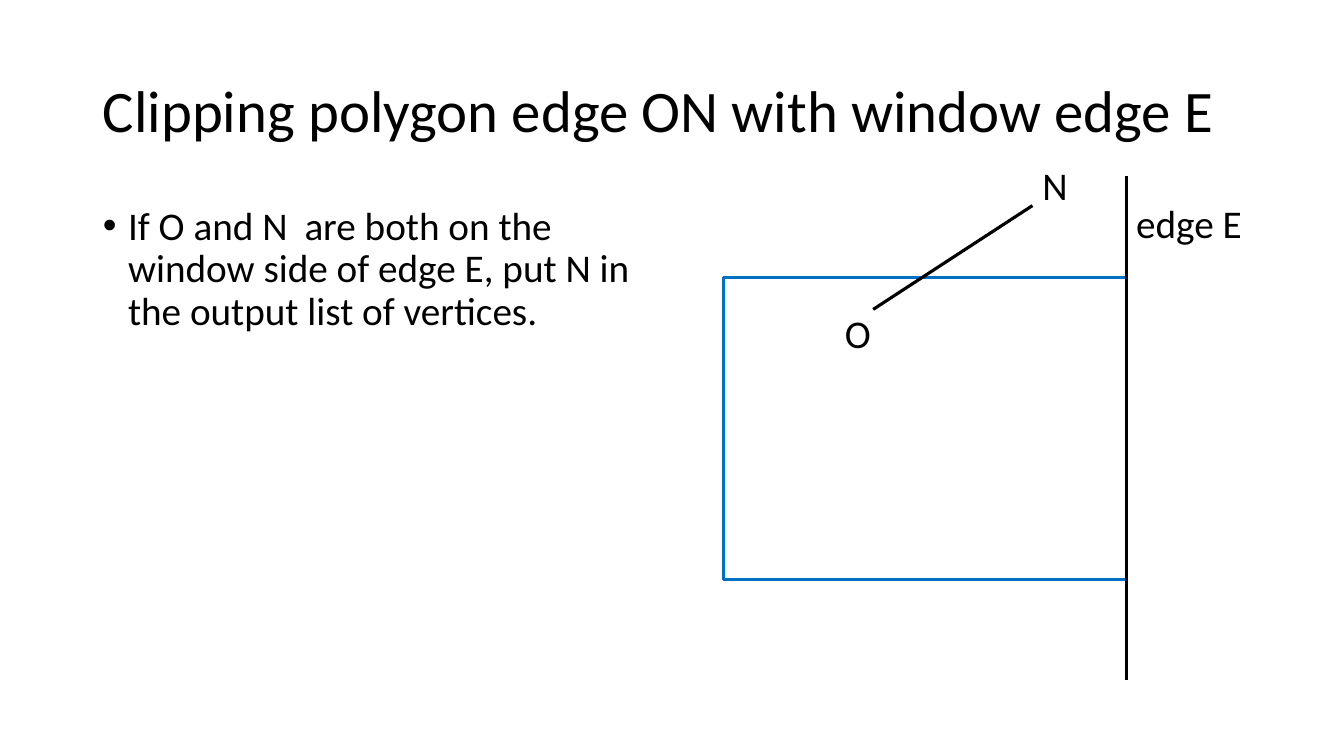
from lxml.etree import SubElement
from pptx import Presentation
from pptx.dml.color import RGBColor
from pptx.enum.shapes import MSO_CONNECTOR, MSO_SHAPE
from pptx.enum.text import MSO_ANCHOR, MSO_AUTO_SIZE, PP_ALIGN
from pptx.oxml.ns import qn
from pptx.util import Inches, Pt


def color(value):
    return RGBColor.from_string(value)


class SlideBuilder:
    font_name = "Calibri"
    ink = "000000"
    window_blue = "0070C0"
    line_width = Pt(2.25)
    title_size = 42
    text_size = 28

    def __init__(self, slide):
        self.slide = slide

    def set_text(self, shape, text, size, spacing=0.9, before=10, anchor=MSO_ANCHOR.TOP):
        frame = shape.text_frame
        frame.word_wrap = True
        frame.auto_size = MSO_AUTO_SIZE.NONE
        frame.vertical_anchor = anchor
        paragraph = frame.paragraphs[0]
        paragraph.alignment = PP_ALIGN.LEFT
        paragraph.line_spacing = spacing
        paragraph.space_before = Pt(before)
        run = paragraph.add_run()
        run.text = text
        run.font.name = self.font_name
        run.font.size = Pt(size)
        run.font.color.rgb = color(self.ink)
        return paragraph

    def place(self, shape, left, top, width, height):
        shape.left, shape.top = Inches(left), Inches(top)
        shape.width, shape.height = Inches(width), Inches(height)

    def title(self, text, *box):
        shape = self.slide.shapes.title
        self.place(shape, *box)
        self.set_text(shape, text, self.title_size, before=0, anchor=MSO_ANCHOR.MIDDLE)

    def bullet(self, text, *box):
        shape = self.slide.placeholders[1]
        self.place(shape, *box)
        properties = self.set_text(shape, text, self.text_size)._p.get_or_add_pPr()
        properties.set("marL", str(Inches(0.25)))
        properties.set("indent", str(Inches(-0.25)))
        SubElement(properties, qn("a:buFont")).set("typeface", "Arial")
        SubElement(properties, qn("a:buChar")).set("char", "•")

    def label(self, text, left, top, width, height, spacing=0.9):
        box = (Inches(value) for value in (left, top, width, height))
        self.set_text(self.slide.shapes.add_textbox(*box), text, self.text_size, spacing)

    def rectangle(self, left, top, width, height):
        box = (Inches(value) for value in (left, top, width, height))
        shape = self.slide.shapes.add_shape(MSO_SHAPE.RECTANGLE, *box)
        shape.shadow.inherit = False
        shape.fill.background()
        shape.line.color.rgb = color(self.window_blue)
        shape.line.width = self.line_width

    def line(self, *ends):
        points = (Inches(value) for value in ends)
        connector = self.slide.shapes.add_connector(MSO_CONNECTOR.STRAIGHT, *points)
        connector.line.color.rgb = color(self.ink)
        connector.line.width = self.line_width
        SubElement(connector._element.spPr, qn("a:effectLst"))


presentation = Presentation()
presentation.slide_width = Inches(13.33)
presentation.slide_height = Inches(7.5)
builder = SlideBuilder(presentation.slides.add_slide(presentation.slide_layouts[1]))

window_left, window_top, window_height = 7.18, 2.75, 3
edge_x = 11.17
edge_overhang = 1
o_x, o_y = 8.66, 3.07
n_x, n_y = 10.24, 2.04

builder.title("Clipping polygon edge ON with window edge E", 0.92, 0.4, 11.5, 1.45)
builder.bullet(
    "If O and N \tare both on the window side of edge E, "
    "put N in the output list of vertices.",
    0.92, 2, 5.46, 4.76,
)
builder.rectangle(window_left, window_top, edge_x - window_left, window_height)
builder.line(edge_x, window_top - edge_overhang,
             edge_x, window_top + window_height + edge_overhang)
builder.label("edge E", edge_x, 1.98, 1.3, 0.65)
builder.line(o_x, o_y, n_x, n_y)
builder.label("O", 8.28, o_y, 0.62, 0.65)
builder.label("N", n_x, 1.64, 0.55, 0.5, spacing=0.8)

presentation.save("out.pptx")
